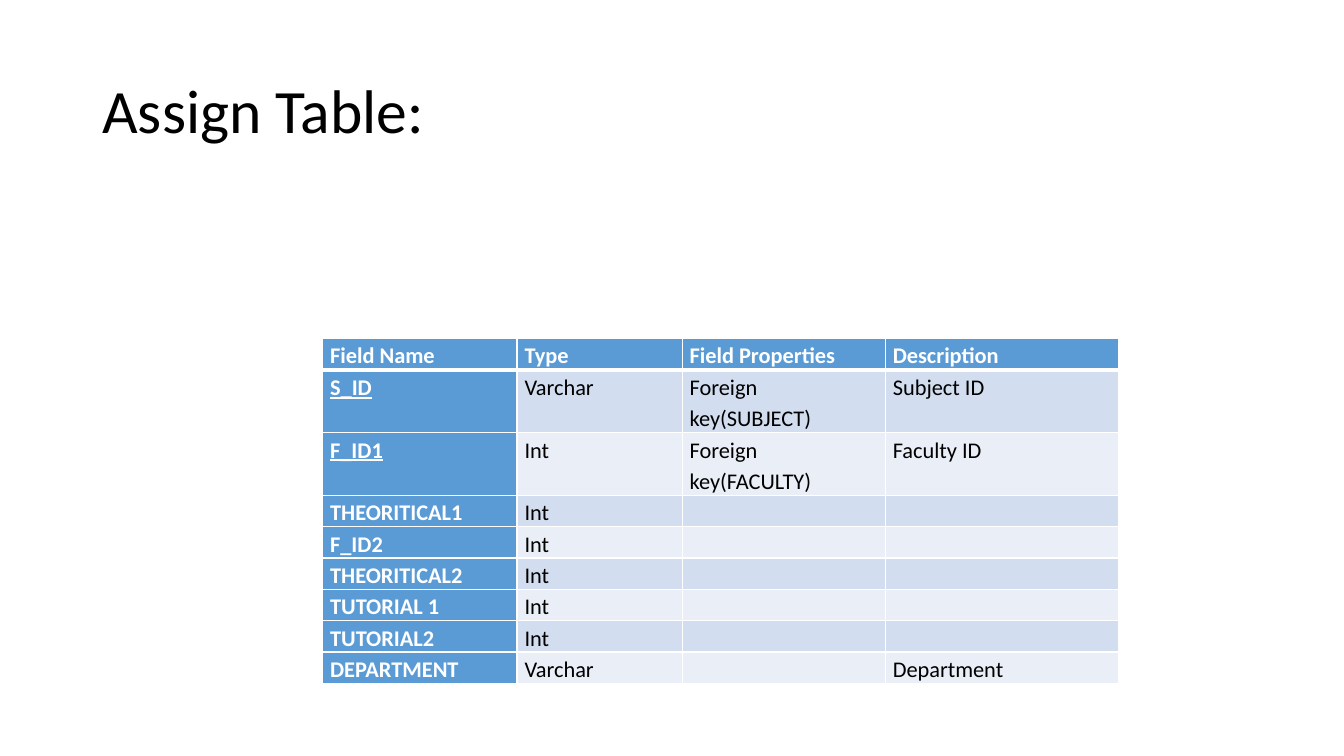
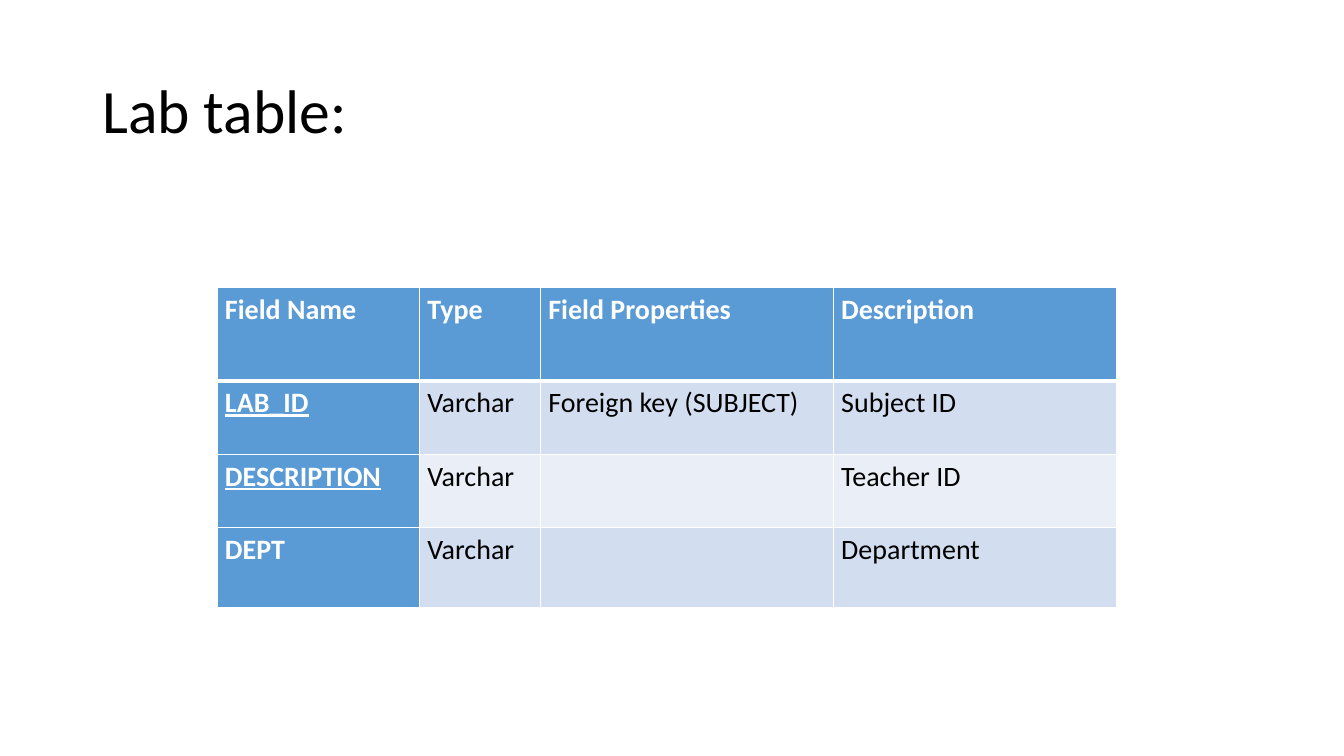
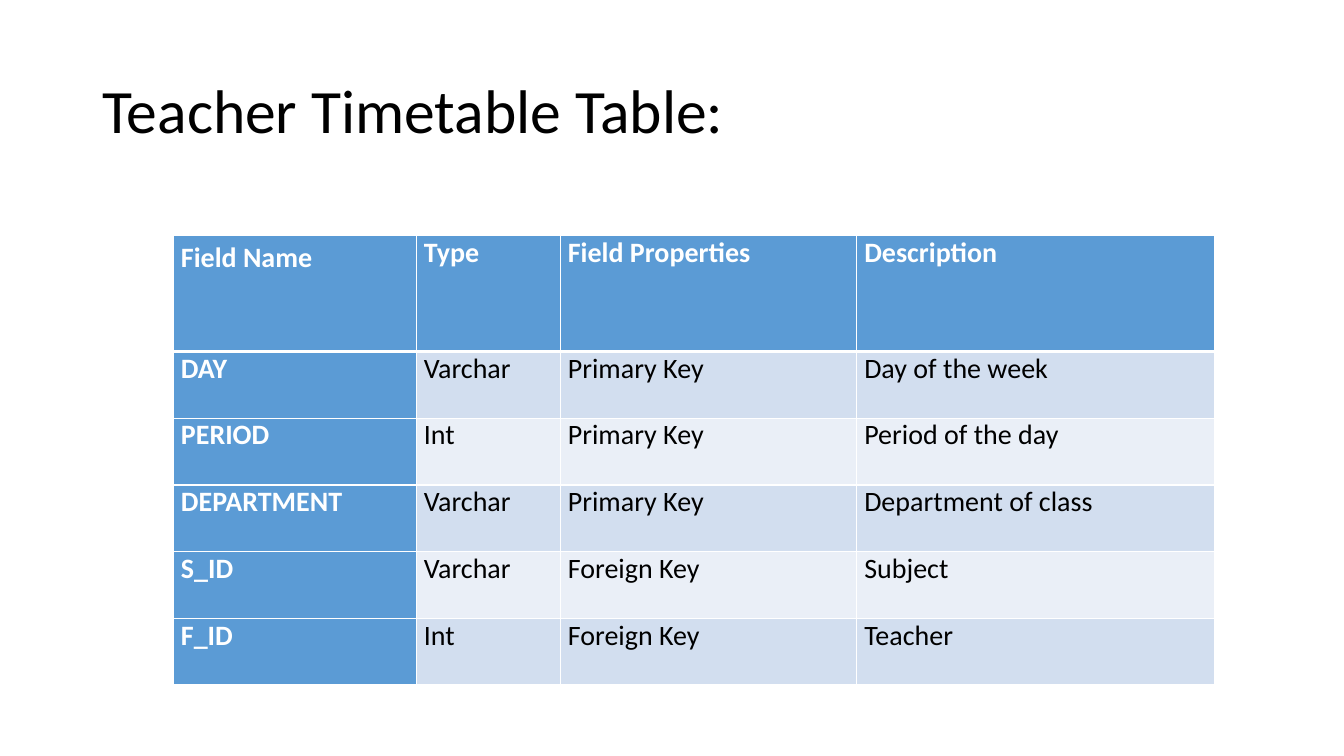
from pptx import Presentation
from pptx import util as u
from pptx.dml import color
from pptx.enum import text
from pptx.oxml import parse_xml
from pptx.oxml import ns

Cm, Pt = u.Cm, u.Pt
HEADS = ["Field Name", "Type", "Field Properties", "Description"]


class Deck:
    """Shared style and the current slide."""

    font = "Calibri"
    hues = {"ink": "000000", "white": "FFFFFF", "head": "5B9BD5",
            "odd": "D2DEEF", "even": "EAEFF7"}

    def __init__(self):
        self.prs = Presentation()
        self.prs.slide_width, self.prs.slide_height = Cm(33.87), Cm(19.05)
        self.slide = None

    def hue(self, name):
        return color.RGBColor.from_string(self.hues[name])

    def style(self, para, size, hue, bold=False, line=False):
        font = para.font
        font.name, font.size = self.font, Pt(size)
        font.bold, font.underline = bold, line
        font.color.rgb = self.hue(hue)

    def page(self, title):
        self.slide = self.prs.slides.add_slide(self.prs.slide_layouts[6])
        box = self.slide.shapes.add_textbox(Cm(2.33), Cm(1.02), Cm(29.21), Cm(3.68))
        frame = box.text_frame
        frame.word_wrap = True
        frame.vertical_anchor = text.MSO_ANCHOR.MIDDLE
        para = frame.paragraphs[0]
        para.text, para.line_spacing = title, 0.9
        self.style(para, 44, "ink")

    def edges(self, cell, row):
        # The rule under the header row is heavier than the others
        thick = {"T": 3 if row == 1 else 1, "B": 3 if row == 0 else 1}
        props = cell._tc.get_or_add_tcPr()
        for side in "LRTB":
            props.append(parse_xml(
                f'<a:ln{side} {ns.nsdecls("a")} w="{Pt(thick.get(side, 1))}">'
                f'<a:solidFill><a:srgbClr val="{self.hues["white"]}"/></a:solidFill>'
                f'</a:ln{side}>'))

    def cell(self, cell, row, col, words, size, space, line):
        cell.margin_left = cell.margin_right = Cm(0.19)
        cell.margin_top = cell.margin_bottom = 0
        self.edges(cell, row)
        lead = row == 0 or col == 0
        cell.fill.solid()
        cell.fill.fore_color.rgb = self.hue("head" if lead else "odd" if row % 2 else "even")
        para = cell.text_frame.paragraphs[0]
        para.text, para.line_spacing = words, space
        self.style(para, size, "white" if lead else "ink", lead, line)

    def table(self, left, top, widths, highs, rows, size, space=1.15, keys=()):
        """Draw a field table; names in keys are underlined."""
        rows = [HEADS] + rows
        grid = self.slide.shapes.add_table(
            len(rows), len(widths), Cm(left), Cm(top),
            Cm(sum(widths)), Cm(sum(highs))).table
        for col, wide in zip(grid.columns, widths):
            col.width = Cm(wide)
        for r, (high, row) in enumerate(zip(highs, rows)):
            grid.rows[r].height = Cm(high)
            for c, words in enumerate(row):
                self.cell(grid.cell(r, c), r, c, words, size, space,
                          c == 0 and words in keys)
        return grid


def main():
    deck = Deck()

    # Assign table
    deck.page("Assign Table:")
    deck.table(8.13, 8.53, [4.9, 4.16, 5.12, 5.88], [0.79] + [1.58] * 2 + [0.79] * 6, [
        ["S_ID", "Varchar", "Foreign key(SUBJECT)", "Subject ID"],
        ["F_ID1", "Int", "Foreign key(FACULTY)", "Faculty ID"],
        ["THEORITICAL1", "Int", "", ""],
        ["F_ID2", "Int", "", ""],
        ["THEORITICAL2", "Int", "", ""],
        ["TUTORIAL 1", "Int", "", ""],
        ["TUTORIAL2", "Int", "", ""],
        ["DEPARTMENT", "Varchar", "", "Department"],
    ], 16, keys=("S_ID", "F_ID1"))

    # Lab table
    deck.page("Lab table:")
    deck.table(5.48, 7.24, [5.1, 3.05, 7.38, 7.12], [2.36, 1.85, 1.85, 2.01], [
        ["LAB_ID", "Varchar", "Foreign key (SUBJECT)", "Subject ID"],
        ["DESCRIPTION", "Varchar", "", "Teacher ID"],
        ["DEPT", "Varchar", "", "Department"],
    ], 20, keys=("LAB_ID", "DESCRIPTION"))

    # Teacher timetable
    deck.page("Teacher Timetable Table:")
    grid = deck.table(4.37, 5.94, [6.12, 3.63, 7.47, 9.02], [2.92] + [1.68] * 5, [
        ["DAY", "Varchar", "Primary Key", "Day of the week"],
        ["PERIOD", "Int", "Primary Key", "Period of the day"],
        ["DEPARTMENT", "Varchar", "Primary Key", "Department of class"],
        ["S_ID", "Varchar", "Foreign Key", "Subject"],
        ["F_ID", "Int", "Foreign Key", "Teacher"],
    ], 20, space=1.0)
    first = grid.cell(0, 0).text_frame.paragraphs[0]
    first.line_spacing, first.space_after = 1.15, Pt(10)

    deck.prs.save("out.pptx")


if __name__ == "__main__":
    main()
